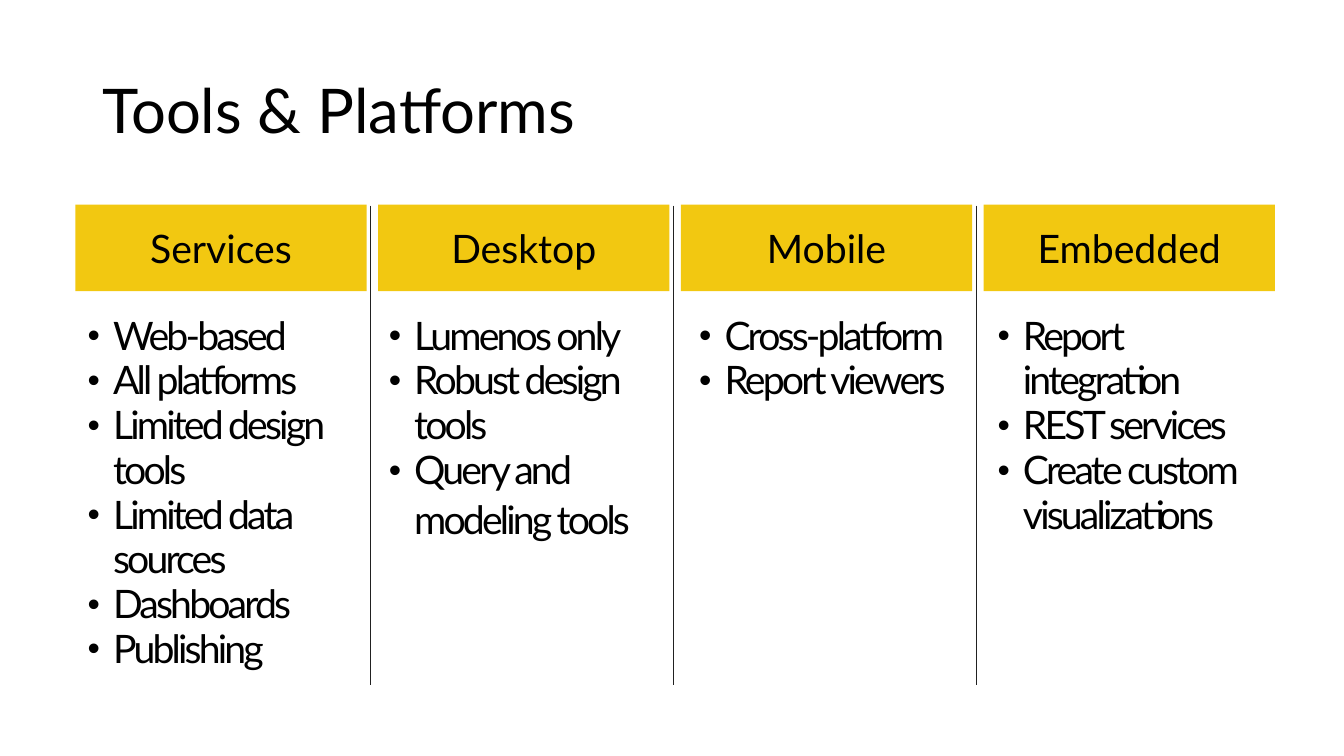
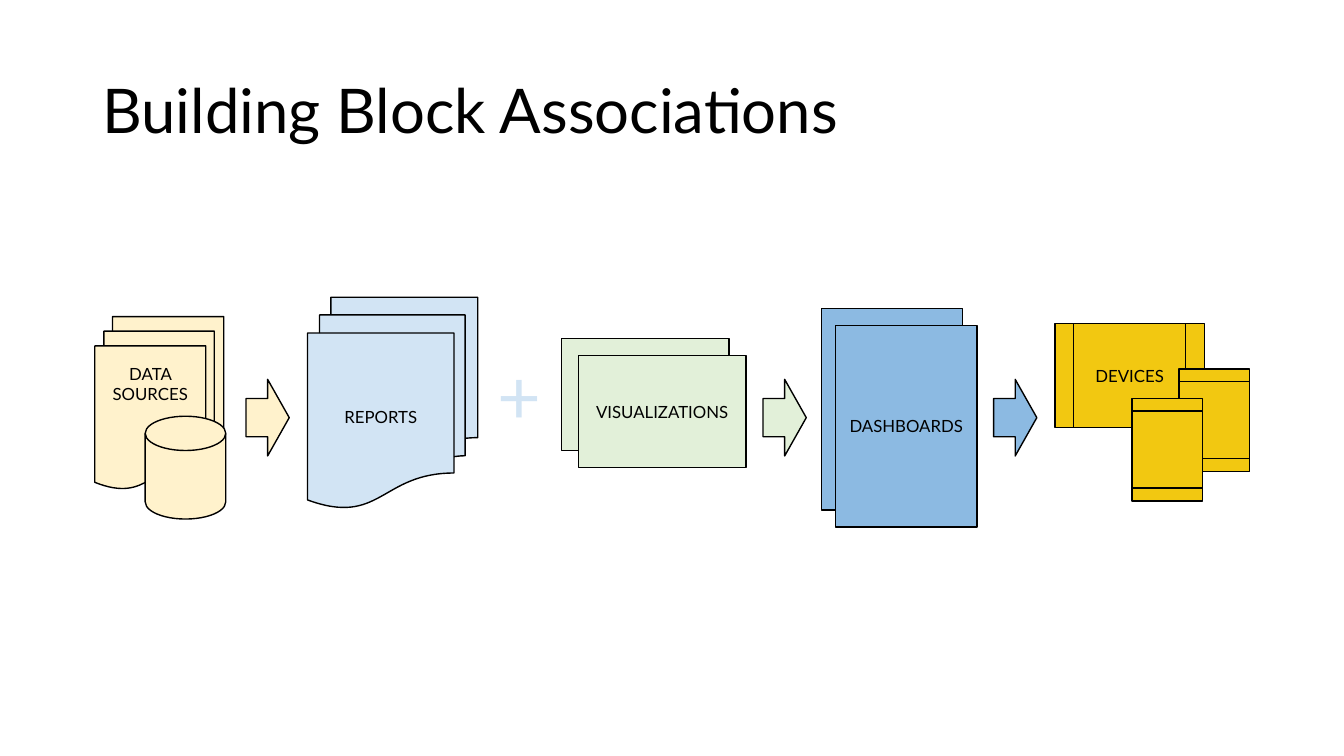
from dataclasses import dataclass

from lxml import etree
from pptx import Presentation
from pptx import util as u
from pptx.dml.color import RGBColor
from pptx.enum import shapes, text
from pptx.oxml import ns

Cm, Pt = u.Cm, u.Pt
KIND = shapes.MSO_SHAPE


@dataclass(frozen=True)
class Theme:
    font: str = "Lato"
    ink: str = "000000"
    divider: str = "212121"
    yellow: str = "F2C811"
    cream: str = "FFF2CC"
    pale_blue: str = "D2E4F4"
    green: str = "E2F0D9"
    blue: str = "8CBAE2"
    title: int = 44
    body: int = 28
    tall: int = 32
    label: int = 12
    plus: int = 54


theme = Theme()


def add_text(slide, box, content, size, color=theme.ink, align=None):
    """Text box with one paragraph per line of content."""
    tf = slide.shapes.add_textbox(*map(Cm, box)).text_frame
    tf.word_wrap = True
    tf.text = content
    for p in tf.paragraphs:
        p.alignment = align
        p.font.name, p.font.size = theme.font, Pt(size)
        p.font.color.rgb = RGBColor.from_string(color)
    return tf


def add_block(slide, kind, box, fill, label="", size=theme.label, outline=True):
    """Filled preset shape with an optional centred label."""
    sp = slide.shapes.add_shape(kind, *map(Cm, box))
    sp.shadow.inherit = False
    sp.fill.solid()
    sp.fill.fore_color.rgb = RGBColor.from_string(fill)
    if outline:
        sp.line.color.rgb = RGBColor.from_string(theme.ink)
        sp.line.width = Pt(1)
    else:
        sp.line.fill.background()
    if label:
        tf = sp.text_frame
        tf.word_wrap = True
        tf.vertical_anchor = text.MSO_ANCHOR.MIDDLE
        p = tf.paragraphs[0]
        p.text = label
        p.alignment = text.PP_ALIGN.CENTER
        p.font.name, p.font.size = theme.font, Pt(size)
        p.font.color.rgb = RGBColor.from_string(theme.ink)
    return sp


prs = Presentation()
prs.slide_width, prs.slide_height = Cm(33.87), Cm(19.05)

# Slides and their titles
slides = []
for title in ("Tools & Platforms", "Building Block Associations"):
    s = prs.slides.add_slide(prs.slide_layouts[6])
    tf = add_text(s, (2.33, 1.02, 29.21, 3.68), title, theme.title)
    tf.vertical_anchor = text.MSO_ANCHOR.MIDDLE
    tf.paragraphs[0].line_spacing = 0.9
    slides.append(s)
tools, blocks = slides

# Tools: heading, list left, list width, list items
columns = [
    ("Services", 1.96, 7.16, ["Web-based", "All platforms", "Limited design tools",
                              "Limited data sources", "Dashboards", "Publishing"]),
    ("Desktop", 9.55, 7.16, ["Lumenos only", "Robust design tools",
                             "Query and modeling tools"]),
    ("Mobile", 17.37, 6.96, ["Cross-platform", "Report viewers"]),
    ("Embedded", 24.89, 7.26, ["Report integration", "REST services",
                               "Create custom visualizations"]),
]
pitch = 7.63
for i, (heading, left, width, items) in enumerate(columns):
    add_block(tools, KIND.RECTANGLE, (1.9 + i * pitch, 5.16, 7.34, 2.18),
              theme.yellow, heading, theme.body, outline=False)

    # Bulleted list with tight letter spacing
    tf = add_text(tools, (left, 7.8, width, 9.3), "\n".join(items), theme.body)
    if heading == "Desktop":
        r = tf.paragraphs[-1].add_run()
        r.text = " "
        r.font.size = Pt(theme.tall)
    for p in tf.paragraphs:
        p.line_spacing = 0.95
        pPr = p._p.get_or_add_pPr()
        pPr.set("marL", str(Cm(0.64)))
        pPr.set("indent", str(-Cm(0.64)))
        bullet = [("buSzPct", "val", "90000"), ("buFont", "typeface", "Arial"),
                  ("buChar", "char", "•")]
        defaults = pPr.find(ns.qn("a:defRPr"))
        for tag, key, value in bullet:
            el = etree.Element(ns.qn("a:" + tag))
            el.set(key, value)
            defaults.addprevious(el)
        for r in p.runs:
            r._r.get_or_add_rPr().set("spc", "-200")

    # Divider before every column but the first
    if i:
        x = 1.71 + i * pitch
        line = tools.shapes.add_connector(shapes.MSO_CONNECTOR.STRAIGHT,
                                          Cm(x), Cm(5.18), Cm(x), Cm(17.25))
        line.line.color.rgb = RGBColor.from_string(theme.divider)
        line.line.width = Pt(0.5)
        etree.SubElement(line._element.spPr, ns.qn("a:effectLst"))

# Building blocks: data sources and reports
sources = add_block(blocks, KIND.FLOWCHART_MULTIDOCUMENT, (2.39, 7.98, 3.25, 4.34),
                    theme.cream, "DATA SOURCES")
sources.text_frame.margin_bottom = Cm(1.65)
add_block(blocks, KIND.FLOWCHART_MAGNETIC_DISK, (3.66, 10.49, 2.03, 2.59), theme.cream)
add_block(blocks, KIND.FLOWCHART_MULTIDOCUMENT, (7.75, 7.49, 4.29, 5.31),
          theme.pale_blue, "REPORTS")

# Pairs of overlapping cards, the front one labelled
cards = [
    ("VISUALIZATIONS", theme.green, 14.15, 8.53, 4.22, 2.82, 0.43),
    ("DASHBOARDS", theme.blue, 20.7, 7.77, 3.56, 5.08, 0.36),
]
for label, fill, left, top, width, height, shift in cards:
    add_block(blocks, KIND.RECTANGLE, (left, top, width, height), fill)
    add_block(blocks, KIND.RECTANGLE, (left + shift, top + 0.43, width, height),
              fill, label)

# Devices: one wide screen and two upright ones
add_block(blocks, KIND.FLOWCHART_PREDEFINED_PROCESS, (26.59, 8.15, 3.76, 2.62),
          theme.yellow, "DEVICES")
for left, top in ((29.31, 9.7), (28.12, 10.44)):
    sp = add_block(blocks, KIND.FLOWCHART_PREDEFINED_PROCESS,
                   (left, top, 2.59, 1.78), theme.yellow)
    sp.rotation = 90

# Arrows and plus sign between the blocks
for left, fill in ((6.2, theme.cream), (19.23, theme.green), (25.04, theme.blue)):
    add_block(blocks, KIND.RIGHT_ARROW, (left, 9.56, 1.09, 1.93), fill)
tf = add_text(blocks, (12.17, 8.66, 1.83, 2.57), "+", theme.plus,
              theme.pale_blue, text.PP_ALIGN.CENTER)
tf.word_wrap = False

prs.save("out.pptx")
